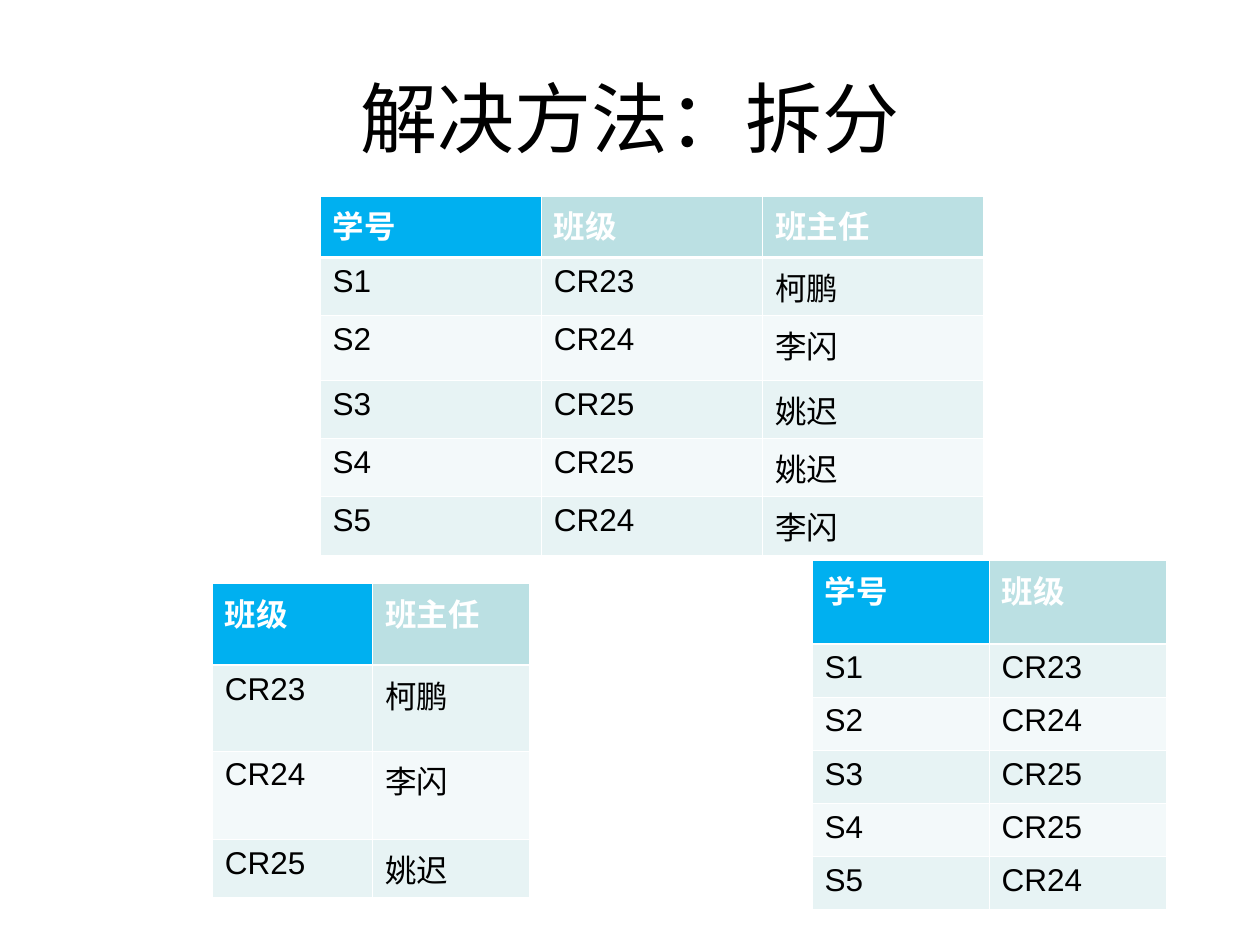
from lxml.etree import SubElement as Sub
from pptx import Presentation
from pptx.dml.color import RGBColor as RGB
from pptx.enum.text import MSO_ANCHOR as Anchor, PP_ALIGN as Align
from pptx.oxml.ns import qn
from pptx.util import Cm, Pt

# Content
TITLE = "解决方法：拆分"
PUPILS = [
    ("S1", "CR23", "柯鹏"),
    ("S2", "CR24", "李闪"),
    ("S3", "CR25", "姚迟"),
    ("S4", "CR25", "姚迟"),
    ("S5", "CR24", "李闪"),
]
HEADS = ("学号", "班级", "班主任")
FULL = [HEADS] + PUPILS
TUTORS = [HEADS[1:]] + sorted({row[1:] for row in PUPILS})
CLASSES = [row[:2] for row in FULL]

# Left, top, column widths and row heights in cm
TABLES = [
    (FULL, 6.45, 3.95, [4.46] * 3, [1.24, 1.02, 1.3, 1.02, 1.02, 1.02]),
    (TUTORS, 4.28, 11.76, [3.23, 3.17], [1.65, 1.73, 1.78, 1.02]),
    (CLASSES, 16.37, 11.3, [3.57] * 2, [1.68, 1.07, 1.08, 1.07, 1.07, 1.07]),
]

COLORS = {
    "key": "00B0F0",
    "head": "BBE0E3",
    "odd": "E7F3F4",
    "even": "F3F9FA",
    "white": "FFFFFF",
    "black": "000000",
}
FONT = "Arial"
THIN, THICK = 0.45, 1.47


def style(par, size, color, bold=False):
    for run in par.runs:
        font = run.font
        font.name, font.size, font.bold = FONT, Pt(size), bold
        font.color.rgb = RGB.from_string(COLORS[color])


def border(cell, row):
    props = cell._tc.get_or_add_tcPr()
    widths = {
        "a:lnL": THIN,
        "a:lnR": THIN,
        "a:lnT": THICK if row == 1 else THIN,
        "a:lnB": THICK if row == 0 else THIN,
    }
    for tag, width in widths.items():
        line = Sub(props, qn(tag), w=str(Pt(width)))
        fill = Sub(line, qn("a:solidFill"))
        Sub(fill, qn("a:srgbClr"), val=COLORS["white"])


def shade(row, col):
    if row == 0:
        return "key" if col == 0 else "head"
    return "odd" if row % 2 else "even"


def add_grid(slide, data, left, top, widths, heights):
    frame = slide.shapes.add_table(
        len(data), len(widths), Cm(left), Cm(top),
        Cm(sum(widths)), Cm(sum(heights)))
    table = frame.table
    for col, width in zip(table.columns, widths):
        col.width = Cm(width)
    for row, height in zip(table.rows, heights):
        row.height = Cm(height)
    for r, values in enumerate(data):
        for c, value in enumerate(values):
            cell = table.cell(r, c)
            border(cell, r)
            cell.fill.solid()
            cell.fill.fore_color.rgb = RGB.from_string(COLORS[shade(r, c)])
            par = cell.text_frame.paragraphs[0]
            par.text = value
            style(par, 18, "black" if r else "white", bold=r == 0)


def main():
    deck = Presentation()
    deck.slide_width, deck.slide_height = Cm(25.4), Cm(19.05)
    slide = deck.slides.add_slide(deck.slide_layouts[5])

    # Title
    title = slide.shapes.title
    title.left, title.top = Cm(1.27), Cm(0.76)
    title.width, title.height = Cm(22.86), Cm(3.18)
    title.text_frame.text = TITLE
    title.text_frame.vertical_anchor = Anchor.MIDDLE
    par = title.text_frame.paragraphs[0]
    par.alignment = Align.CENTER
    style(par, 44, "black")

    # Full table on top, its two parts below
    for grid in TABLES:
        add_grid(slide, *grid)

    deck.save("out.pptx")


if __name__ == "__main__":
    main()
